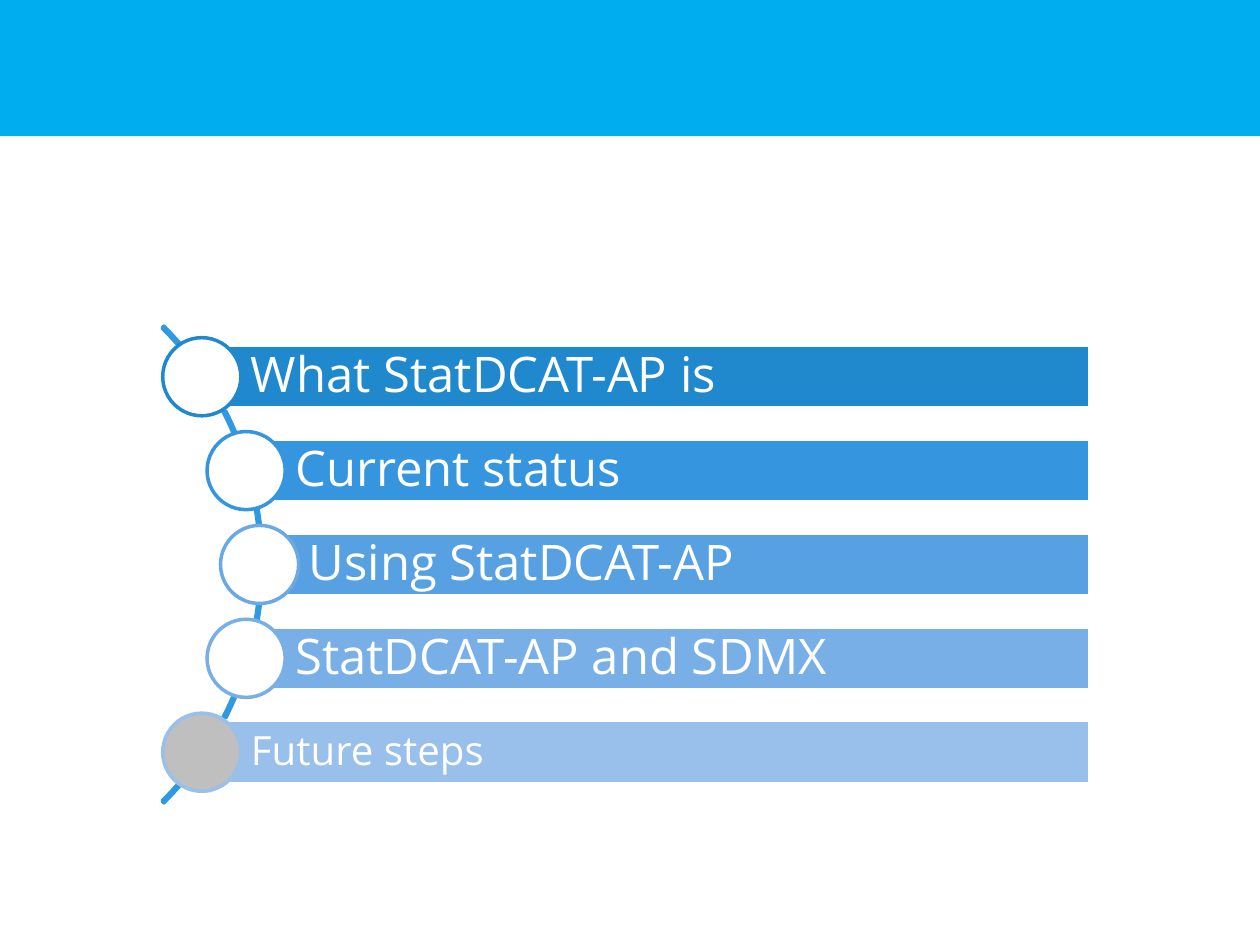
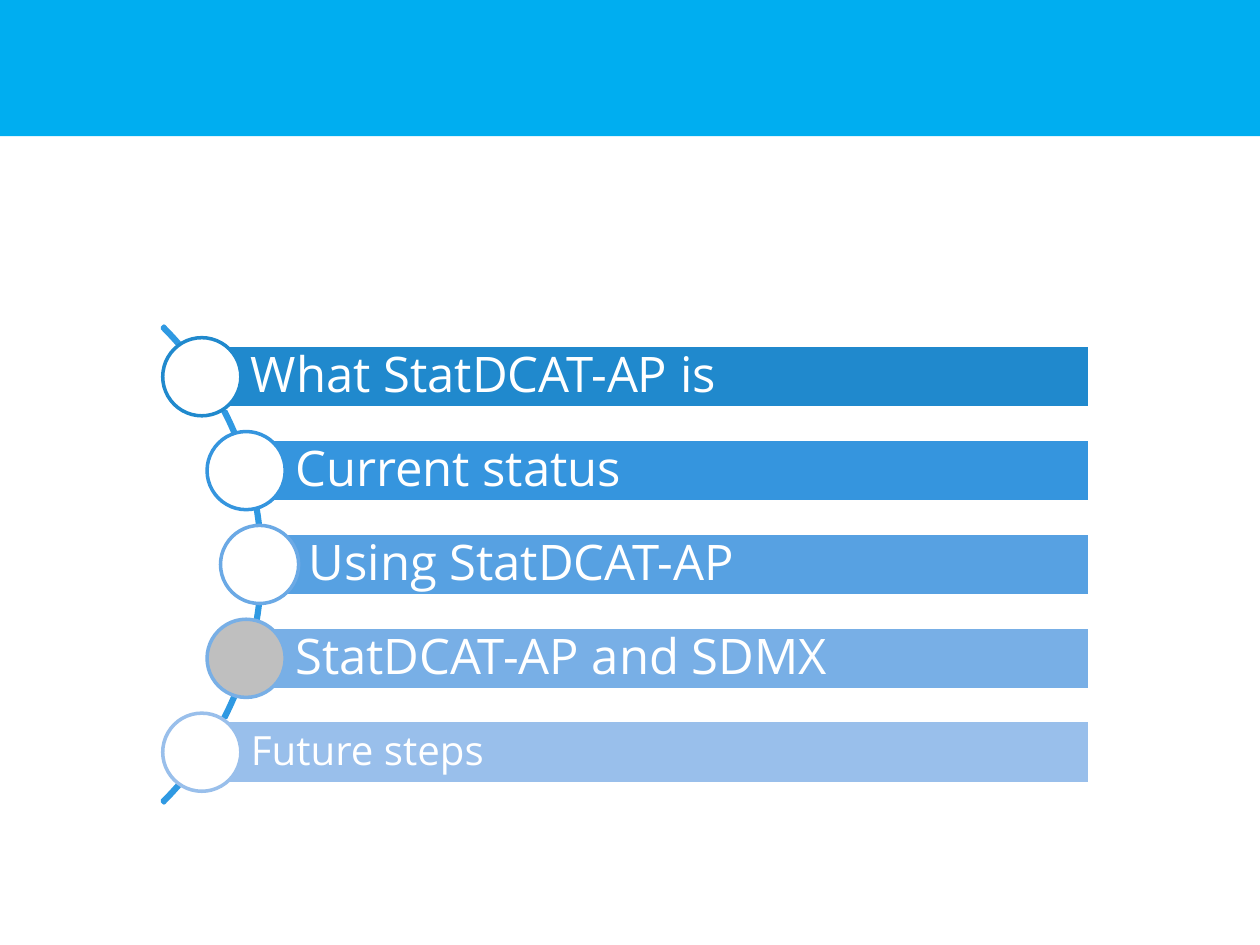
import math
from dataclasses import dataclass

import lxml.etree
import pptx
import pptx.dml.color
import pptx.enum.shapes
import pptx.enum.text
import pptx.oxml.ns
import pptx.presentation
import pptx.shapes.autoshape
import pptx.shapes.group
import pptx.slide
import pptx.util

PRESET = pptx.enum.shapes.MSO_SHAPE


@dataclass(frozen=True)
class Theme:
    font: str = "Open Sans"
    band: str = "00AEF0"
    arc: str = "2F99E2"
    paper: str = "FFFFFF"
    current: str = "BFBFBF"
    large: int = 28
    small: int = 23
    outline: int = 2


@dataclass(frozen=True)
class Grid:
    width: int
    height: int
    columns: int = 100
    rows: int = 75

    def x(self, columns: float) -> int:
        return round(self.width * columns / self.columns)

    def y(self, rows: float) -> int:
        return round(self.height * rows / self.rows)


@dataclass(frozen=True)
class Box:
    left: float
    top: float
    width: float
    height: float


@dataclass(frozen=True)
class Topic:
    label: str
    bar: str
    ring: str
    size: int
    inset: float = 0.8


@dataclass(frozen=True)
class Wheel:
    x: float = -5.9
    y: float = 44.8
    arc_diameter: float = 53.5
    orbit: float = 26.5
    span: float = 29.8
    bar_end: float = 86.5
    bar_height: float = 5
    marker: float = 6.2
    label_indent: float = 3.9


THEME = Theme()
WHEEL = Wheel()
BAND = Box(0, 0, 100, 10.8)
TOPICS = [
    Topic("What StatDCAT-AP is", "2089CD", "2089CD", THEME.large),
    Topic("Current status", "3595DE", "3595DE", THEME.large),
    Topic("Using StatDCAT-AP", "57A1E2", "6BA9E5", THEME.large),
    Topic("StatDCAT-AP and SDMX", "78AFE6", "78AFE6", THEME.large),
    Topic("Future steps", "99BFEB", "99BFEB", THEME.small, 0.6),
]
CURRENT_TOPICS = ["Future steps", "StatDCAT-AP and SDMX"]


def colour(value: str) -> pptx.dml.color.RGBColor:
    return pptx.dml.color.RGBColor.from_string(value)


def draw(
    owner: pptx.slide.Slide | pptx.shapes.group.GroupShape,
    grid: Grid,
    preset: pptx.enum.shapes.MSO_SHAPE,
    box: Box,
    fill: str | None,
    line: str | None,
) -> pptx.shapes.autoshape.Shape:
    figure = owner.shapes.add_shape(
        preset, grid.x(box.left), grid.y(box.top), grid.x(box.width), grid.y(box.height)
    )
    figure.shadow.inherit = False
    if fill:
        figure.fill.solid()
        figure.fill.fore_color.rgb = colour(fill)
    else:
        figure.fill.background()
    if line:
        figure.line.color.rgb = colour(line)
        figure.line.width = pptx.util.Pt(THEME.outline)
    else:
        figure.line.fill.background()
    return figure


def write_label(bar: pptx.shapes.autoshape.Shape, grid: Grid, topic: Topic) -> None:
    frame = bar.text_frame
    frame.word_wrap = True
    frame.vertical_anchor = pptx.enum.text.MSO_ANCHOR.MIDDLE
    frame.margin_left = grid.x(WHEEL.label_indent)
    frame.margin_right = grid.x(topic.inset)
    frame.margin_top = frame.margin_bottom = grid.y(topic.inset)
    paragraph = frame.paragraphs[0]
    paragraph.alignment = pptx.enum.text.PP_ALIGN.LEFT
    paragraph.line_spacing = 0.9
    paragraph.space_after = pptx.util.Pt(0)
    spacing = paragraph._p.pPr.find(pptx.oxml.ns.qn("a:spcAft"))
    spacing.remove(spacing[0])
    lxml.etree.SubElement(spacing, pptx.oxml.ns.qn("a:spcPct"), val="35000")
    run = paragraph.add_run()
    run.text = topic.label
    run.font.name = THEME.font
    run.font.size = pptx.util.Pt(topic.size)
    run.font.color.rgb = colour(THEME.paper)


def add_topic(
    agenda: pptx.shapes.group.GroupShape, grid: Grid, index: int, current: str
) -> None:
    topic = TOPICS[index]
    offset = WHEEL.span * (index / (len(TOPICS) - 1) - 0.5)
    x = WHEEL.x + math.sqrt(WHEEL.orbit**2 - offset**2)
    y = WHEEL.y + offset
    bar_box = Box(x, y - WHEEL.bar_height / 2, WHEEL.bar_end - x, WHEEL.bar_height)
    bar = draw(agenda, grid, PRESET.RECTANGLE, bar_box, topic.bar, THEME.paper)
    write_label(bar, grid, topic)
    radius = WHEEL.marker / 2
    marker_box = Box(x - radius, y - radius, WHEEL.marker, WHEEL.marker)
    marker_fill = THEME.current if topic.label == current else THEME.paper
    draw(agenda, grid, PRESET.OVAL, marker_box, marker_fill, topic.ring)


def add_agenda(slide: pptx.slide.Slide, grid: Grid, current: str) -> None:
    agenda = slide.shapes.add_group_shape()
    radius = WHEEL.arc_diameter / 2
    arc_box = Box(
        WHEEL.x - radius, WHEEL.y - radius, WHEEL.arc_diameter, WHEEL.arc_diameter
    )
    arc = draw(agenda, grid, PRESET.BLOCK_ARC, arc_box, None, THEME.arc)
    for position, adjustment in enumerate((189, 27, 0.004)):
        arc.adjustments[position] = adjustment
    for index in range(len(TOPICS)):
        add_topic(agenda, grid, index, current)


def add_master_band(
    deck: pptx.presentation.Presentation, slide: pptx.slide.Slide, grid: Grid
) -> None:
    band = draw(slide, grid, PRESET.RECTANGLE, BAND, THEME.band, None)
    deck.slide_master.shapes._spTree.insert(2, band._element)


def main() -> None:
    deck = pptx.Presentation()
    deck.slide_width = pptx.util.Inches(10)
    deck.slide_height = pptx.util.Inches(7.5)
    grid = Grid(deck.slide_width, deck.slide_height)
    blank = deck.slide_layouts.get_by_name("Blank")
    slides = [deck.slides.add_slide(blank) for topic in CURRENT_TOPICS]
    add_master_band(deck, slides[0], grid)
    for slide, current in zip(slides, CURRENT_TOPICS):
        add_agenda(slide, grid, current)
    deck.save("out.pptx")


main()
